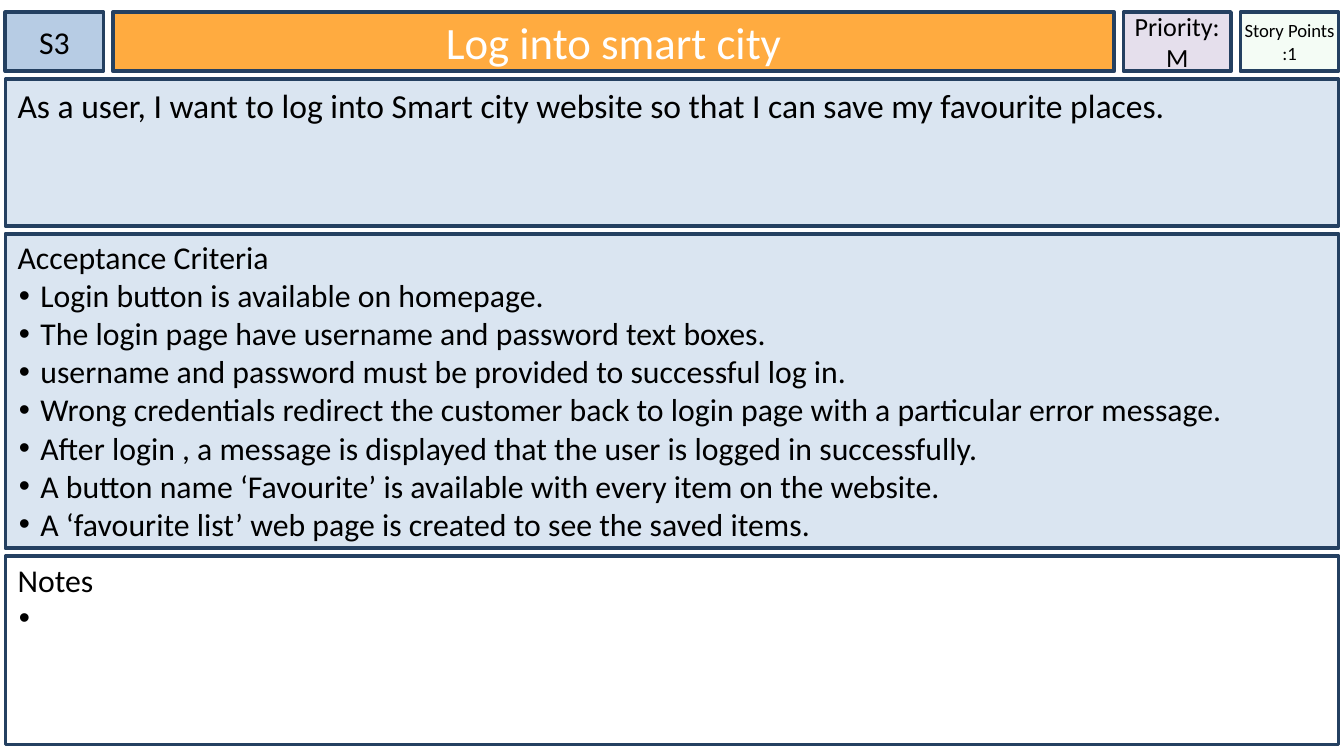
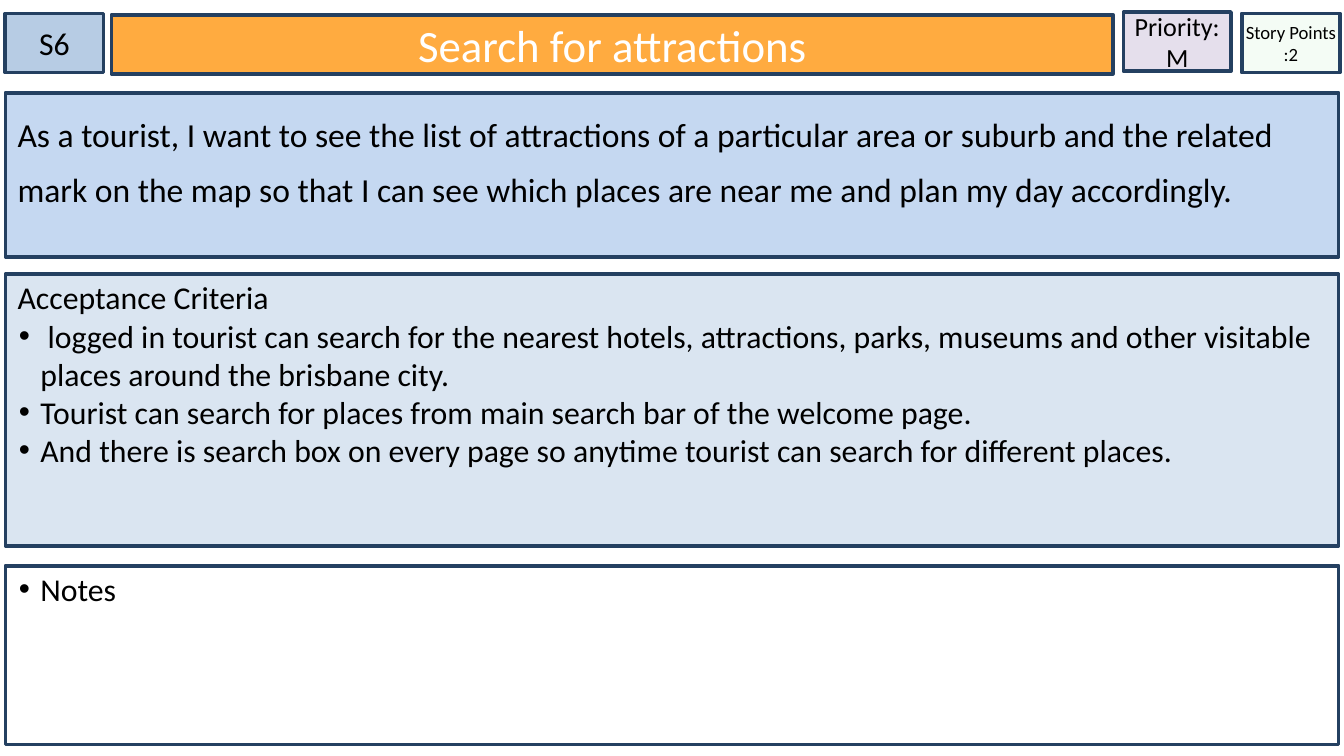
from dataclasses import dataclass

from lxml import etree
from pptx import Presentation
from pptx.dml.color import RGBColor
from pptx.enum import shapes, text
from pptx.oxml import ns
from pptx.util import Inches, Pt

FONT = "Calibri"
BLACK, WHITE, NAVY = "000000", "FFFFFF", "244061"
ID_BLUE, ORANGE, LILAC, MINT = "B7CCE4", "FFAB40", "E5DFEC", "CCF0CD"
PALE_BLUE, SKY_BLUE = "DAE5F1", "C5D8F1"
SLIDE_WIDTH = 10
SLIDE_HEIGHT = SLIDE_WIDTH * 9 / 16
LEFT, FULL_WIDTH, HEADER_HEIGHT = 0.04, 9.92, 0.44
BADGE_WIDTH, TITLE_WIDTH, PRIORITY_WIDTH = 0.73, 7.45, 0.8
PRIORITY_LEFT, PRIORITY_TOP = 8.36, 0.09


@dataclass(frozen=True)
class Box:
    left: float
    top: float
    width: float
    height: float


@dataclass(frozen=True)
class Style:
    fill: str
    size: int
    color: str = BLACK
    centered: bool = False
    side_inset: float = 0.09
    top_inset: float = 0.04
    opacity: int = 100
    line_spacing: float | None = None


@dataclass(frozen=True)
class Line:
    wording: str
    bulleted: bool = False


@dataclass(frozen=True)
class Panel:
    top: float
    height: float
    style: Style
    lines: list[Line]


@dataclass(frozen=True)
class Story:
    code: str
    title: str
    priority: str
    points: int
    badge_top: float
    title_left: float
    title_top: float
    points_left: float
    goal: Panel
    criteria: Panel
    notes: Panel


CODE = Style(ID_BLUE, 17, centered=True, side_inset=0)
TITLE = Style(ORANGE, 24, color=WHITE, centered=True)
PRIORITY = Style(LILAC, 14, centered=True, side_inset=0)
POINTS = Style(MINT, 10, centered=True, side_inset=0, opacity=20)
GOAL = Style(PALE_BLUE, 18)
SPACED_GOAL = Style(SKY_BLUE, 18, line_spacing=1.38)
CRITERIA = Style(PALE_BLUE, 17, top_inset=0.03)
NOTES = Style(WHITE, 17, top_inset=0.03)


def plain(*wordings: str) -> list[Line]:
    return [Line(wording) for wording in wordings]


def bullets(*wordings: str) -> list[Line]:
    return [Line(wording, True) for wording in wordings]


def rgb(value: str) -> RGBColor:
    return RGBColor.from_string(value)


def add_bullet(paragraph) -> None:
    properties = paragraph._p.get_or_add_pPr()
    properties.set("marL", str(Inches(0.17)))
    properties.set("indent", str(Inches(-0.16)))
    bullet_color = etree.SubElement(properties, ns.qn("a:buClr"))
    etree.SubElement(bullet_color, ns.qn("a:srgbClr"), val=BLACK)
    etree.SubElement(properties, ns.qn("a:buFont"), typeface="Arial")
    etree.SubElement(properties, ns.qn("a:buChar"), char="•")


def set_opacity(card, percent: int) -> None:
    fill_color = card._element.spPr.find(ns.qn("a:solidFill"))[0]
    etree.SubElement(fill_color, ns.qn("a:alpha"), val=str(percent * 1000))


def draw_card(slide, box: Box, style: Style, lines: list[Line]) -> None:
    card = slide.shapes.add_shape(
        shapes.MSO_SHAPE.RECTANGLE,
        Inches(box.left), Inches(box.top), Inches(box.width), Inches(box.height),
    )
    card.shadow.inherit = False
    card.fill.solid()
    card.fill.fore_color.rgb = rgb(style.fill)
    if style.opacity < 100:
        set_opacity(card, style.opacity)
    card.line.color.rgb = rgb(NAVY)
    card.line.width = Pt(2)

    frame = card.text_frame
    frame.word_wrap = True
    frame.margin_left = frame.margin_right = Inches(style.side_inset)
    frame.margin_top = Inches(style.top_inset)
    frame.margin_bottom = Inches(0.04)
    frame.vertical_anchor = (
        text.MSO_ANCHOR.MIDDLE if style.centered else text.MSO_ANCHOR.TOP
    )
    frame.text = "\n".join(line.wording for line in lines)
    for paragraph, line in zip(frame.paragraphs, lines):
        paragraph.alignment = (
            text.PP_ALIGN.CENTER if style.centered else text.PP_ALIGN.LEFT
        )
        if style.line_spacing:
            paragraph.line_spacing = style.line_spacing
        if line.bulleted:
            add_bullet(paragraph)
        for run in paragraph.runs:
            run.font.name = FONT
            run.font.size = Pt(style.size)
            run.font.color.rgb = rgb(style.color)


def draw_header(slide, story: Story) -> None:
    code_box = Box(LEFT, story.badge_top, BADGE_WIDTH, HEADER_HEIGHT)
    title_box = Box(story.title_left, story.title_top, TITLE_WIDTH, HEADER_HEIGHT)
    points_box = Box(story.points_left, story.badge_top, BADGE_WIDTH, HEADER_HEIGHT)
    priority_box = Box(PRIORITY_LEFT, PRIORITY_TOP, PRIORITY_WIDTH, HEADER_HEIGHT)
    draw_card(slide, code_box, CODE, plain(story.code))
    draw_card(slide, title_box, TITLE, plain(story.title))
    draw_card(slide, points_box, POINTS, plain("Story Points", f":{story.points}"))
    draw_card(slide, priority_box, PRIORITY, plain("Priority:", story.priority))


def draw_story(deck, story: Story) -> None:
    slide = deck.slides.add_slide(deck.slide_layouts[6])
    draw_header(slide, story)
    for panel in (story.goal, story.criteria, story.notes):
        panel_box = Box(LEFT, panel.top, FULL_WIDTH, panel.height)
        draw_card(slide, panel_box, panel.style, panel.lines)


STORIES = [
    Story(
        code="S3", title="Log into smart city", priority="M", points=1,
        badge_top=0.09, title_left=0.84, title_top=0.09, points_left=9.23,
        goal=Panel(0.59, 1.09, GOAL, plain(
            "As a user, I want to log into Smart city website so that I can "
            "save my favourite places.",
        )),
        criteria=Panel(1.74, 2.34, CRITERIA, plain("Acceptance Criteria") + bullets(
            "Login button is available on homepage.",
            "The login page have username and password text boxes.",
            "username and password must be provided to successful log in.",
            "Wrong credentials redirect the customer back to login page with a "
            "particular error message.",
            "After login , a message is displayed that the user is logged in "
            "successfully.",
            "A button name ‘Favourite’ is available with every item on the website.",
            "A ‘favourite list’ web page is created to see the saved items.",
        )),
        notes=Panel(4.14, 1.4, NOTES, plain("Notes") + bullets(" ")),
    ),
    Story(
        code="S6", title="Search for attractions", priority="M", points=2,
        badge_top=0.1, title_left=0.83, title_top=0.11, points_left=9.24,
        goal=Panel(0.69, 1.22, SPACED_GOAL, plain(
            "As a tourist, I want to see the list of attractions of a particular "
            "area or suburb and the related mark on the map so that I can see "
            "which places are near me and plan my day accordingly. ",
        )),
        criteria=Panel(2.04, 2.02, CRITERIA, plain("Acceptance Criteria") + bullets(
            " logged in tourist can search for the nearest hotels, attractions, "
            "parks, museums and other visitable places around the brisbane city.",
            "Tourist can search for places from main search bar of the welcome page. ",
            "And there is search box on every page so anytime tourist can search "
            "for different places. ",
        )),
        notes=Panel(4.21, 1.33, NOTES, bullets("Notes ")),
    ),
]

presentation = Presentation()
presentation.slide_width = Inches(SLIDE_WIDTH)
presentation.slide_height = Inches(SLIDE_HEIGHT)
for user_story in STORIES:
    draw_story(presentation, user_story)
presentation.save("out.pptx")
